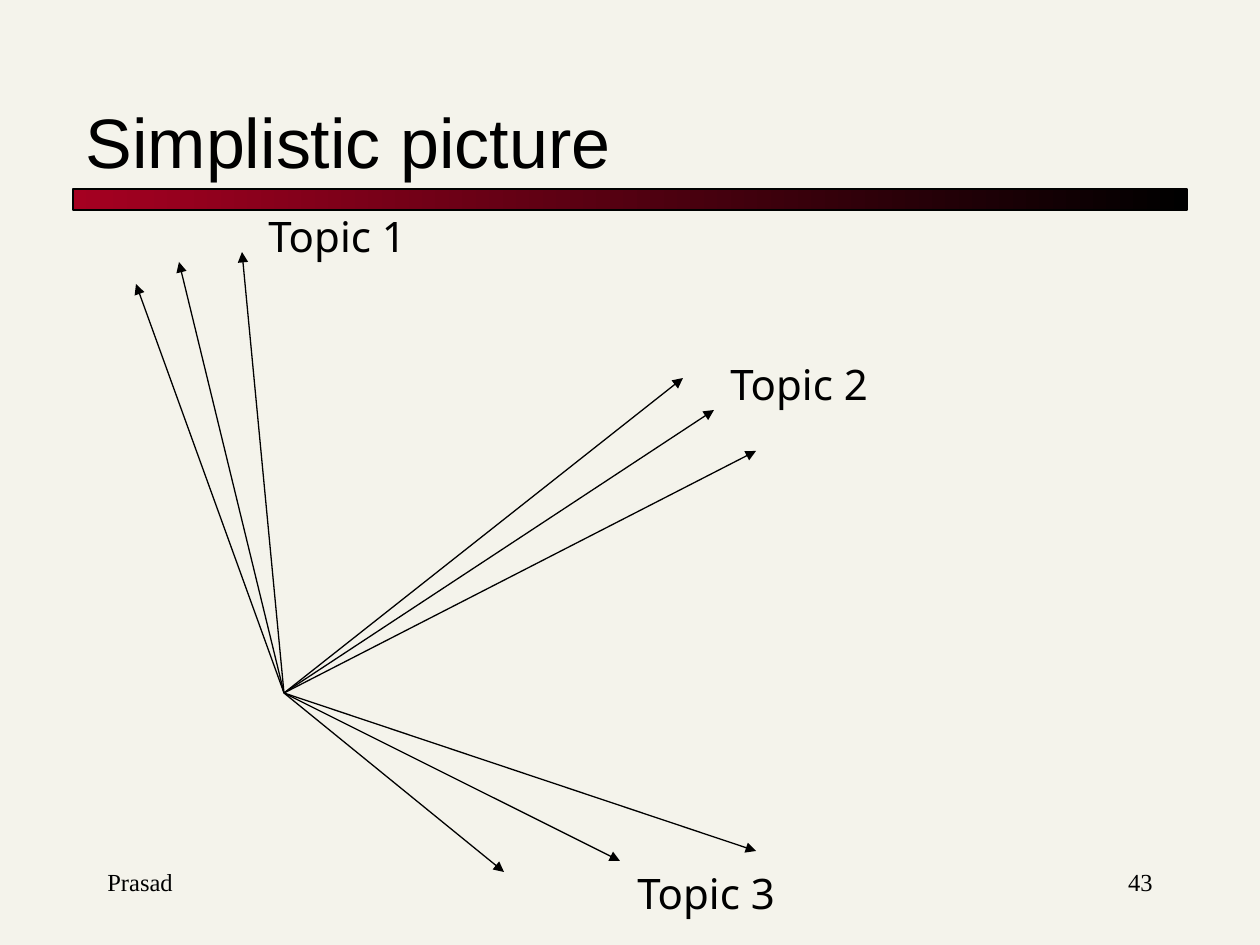
from lxml import etree
from pptx import Presentation
from pptx.dml.color import RGBColor
from pptx.enum.shapes import MSO_CONNECTOR, MSO_SHAPE
from pptx.enum.text import MSO_ANCHOR, MSO_AUTO_SIZE, PP_ALIGN
from pptx.oxml.ns import qn
from pptx.util import Inches, Pt

STRAIGHT, RECTANGLE = MSO_CONNECTOR.STRAIGHT, MSO_SHAPE.RECTANGLE
TOP, BOTTOM = MSO_ANCHOR.TOP, MSO_ANCHOR.BOTTOM
LEFT, RIGHT = PP_ALIGN.LEFT, PP_ALIGN.RIGHT
FIT_SHAPE, FIT_NONE = MSO_AUTO_SIZE.SHAPE_TO_FIT_TEXT, MSO_AUTO_SIZE.NONE

COLORS = {"paper": "F4F3EB", "ink": "000000", "crimson": "A50021"}
PX_PER_INCH = 126


def px(length):
    return round(length * Inches(1) / PX_PER_INCH)


def color(name):
    return RGBColor.from_string(COLORS[name])


class SlideBuilder:
    """Holds the style and the current slide."""

    title_font = {"name": "Arial", "size": Pt(40)}
    label_font = {"name": "Noto Sans", "size": Pt(24)}
    footer_font = {"name": "Times New Roman", "size": Pt(14)}
    line_width = Pt(0.75)

    def __init__(self, slide):
        self.slide = slide
        background = slide.background.fill
        background.solid()
        background.fore_color.rgb = color("paper")

    def set_text(self, shape, text, font, align=LEFT, **frame_format):
        frame = shape.text_frame
        for name, value in frame_format.items():
            setattr(frame, name, value)
        paragraph = frame.paragraphs[0]
        paragraph.alignment = align
        run = paragraph.add_run()
        run.text = text
        for name, value in font.items():
            setattr(run.font, name, value)
        run.font.color.rgb = color("ink")

    def outline(self, line):
        line.color.rgb = color("ink")
        line.width = self.line_width

    def title(self, text, left, top, width, height):
        title = self.slide.shapes.title
        box = {"left": left, "top": top, "width": width, "height": height}
        for name, value in box.items():
            setattr(title, name, px(value))
        self.set_text(title, text, self.title_font, vertical_anchor=BOTTOM,
                      auto_size=FIT_NONE, word_wrap=True)

    def gradient_bar(self, *box):
        bar = self.slide.shapes.add_shape(RECTANGLE, *map(px, box))
        bar.shadow.inherit = False
        bar.fill.gradient()
        bar.fill.gradient_angle = 0
        for stop, name in zip(bar.fill.gradient_stops, ("crimson", "ink")):
            stop.color.rgb = color(name)
        self.outline(bar.line)

    def arrow(self, start, tip):
        arrow = self.slide.shapes.add_connector(STRAIGHT, *map(px, start + tip))
        self.outline(arrow.line)
        properties = arrow.element.spPr
        etree.SubElement(properties.find(qn("a:ln")), qn("a:tailEnd"), type="triangle")
        etree.SubElement(properties, qn("a:effectLst"))

    def label(self, text, left, top):
        label = self.slide.shapes.add_textbox(*map(px, (left, top, 165, 63)))
        self.set_text(label, text, self.label_font, vertical_anchor=TOP,
                      word_wrap=False, auto_size=FIT_SHAPE)

    def footer(self, text, left, align):
        footer = self.slide.shapes.add_textbox(*map(px, (left, 861, 262, 63)))
        self.set_text(footer, text, self.footer_font, align,
                      vertical_anchor=TOP, word_wrap=True)


def main():
    deck = Presentation()
    deck.slide_width, deck.slide_height = px(1260), px(945)
    builder = SlideBuilder(deck.slides.add_slide(deck.slide_layouts[5]))

    # Heading
    builder.gradient_bar(73, 189, 1114, 21)
    builder.title("Simplistic picture", 73, 53, 1113, 136)

    # Document vectors, bundled by topic around one origin
    origin = (284, 693)
    topics = [
        ("Topic 1", (256, 204), [(136, 284), (179, 262), (242, 252)]),
        ("Topic 2", (718, 352), [(683, 378), (714, 410), (756, 451)]),
        ("Topic 3", (625, 861), [(620, 861), (504, 872), (756, 851)]),
    ]
    for topic, label_position, tips in topics:
        for tip in tips:
            builder.arrow(origin, tip)
        builder.label(topic, *label_position)

    # Footer
    builder.footer("Prasad", 95, LEFT)
    builder.footer("43", 903, RIGHT)

    deck.save("out.pptx")


if __name__ == "__main__":
    main()
